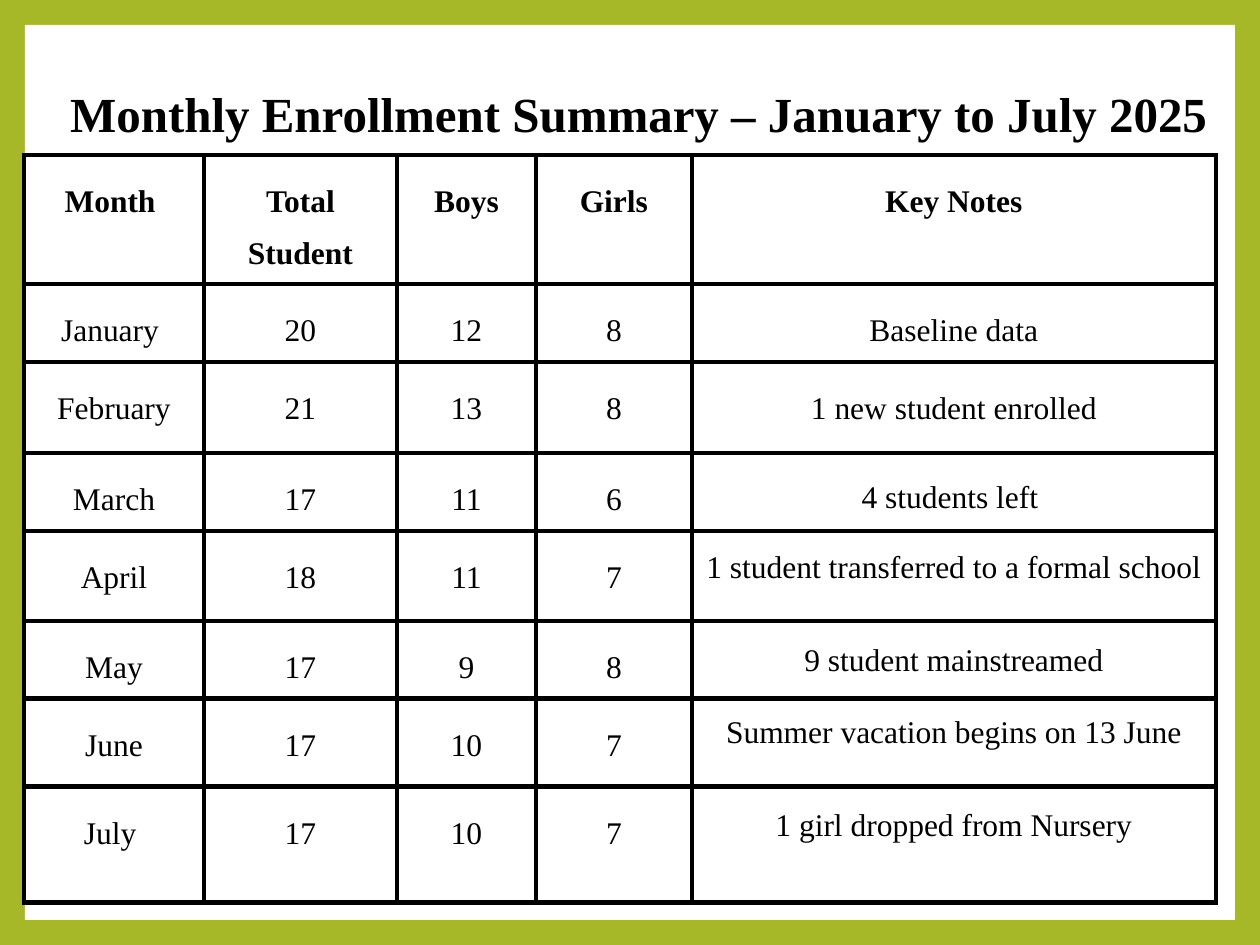
from lxml.etree import SubElement
from pptx import Presentation
from pptx.dml.color import RGBColor
from pptx.enum.shapes import MSO_SHAPE
from pptx.enum.text import PP_ALIGN
from pptx.oxml.ns import qn
from pptx.util import Emu, Pt

PX_PER_INCH = 126
BLACK = RGBColor(0x00, 0x00, 0x00)
WHITE = RGBColor(0xFF, 0xFF, 0xFF)
GREEN = RGBColor(0xA6, 0xB7, 0x27)

COLUMN_WIDTHS = [180, 193, 139, 156, 524]
ROW_HEIGHTS = [129, 78, 91, 78, 90, 77, 88, 116]
ENROLLMENT = [
    ["Month ", "Total Student", "Boys", "Girls", "Key Notes"],
    ["January ", "20", "12", "8", "Baseline data"],
    ["February", "21", "13", "8", "1 new student enrolled"],
    ["March", "17", "11", "6", "4 students left "],
    ["April", "18", "11", "7", "1 student transferred to a formal school"],
    ["May", "17", "9", "8", "9 student mainstreamed"],
    ["June", "17", "10", "7", "Summer vacation begins on 13 June"],
    ["July ", "17", "10", "7", "1 girl dropped from Nursery"],
]
CELL_SPACING = 29.4
NOTE_SPACING = {3: 28, 4: 23.8, 5: 25.2, 6: 22.4, 7: 25.2}


def px(length):
    return Emu(round(length * 914400 / PX_PER_INCH))


class SlideBuilder:
    font_name = "Times New Roman"
    cell_margin = 13
    border_width = Pt(3)

    def __init__(self, page):
        self.page = page

    def background(self, color):
        self.page.background.fill.solid()
        self.page.background.fill.fore_color.rgb = color

    def panel(self, left, top, width, height, color):
        panel = self.page.shapes.add_shape(
            MSO_SHAPE.RECTANGLE, px(left), px(top), px(width), px(height))
        panel.shadow.inherit = False
        panel.fill.solid()
        panel.fill.fore_color.rgb = color
        panel.line.fill.background()

    def set_text(self, holder, text, size, spacing, bold, margin):
        holder.margin_left = holder.margin_right = px(margin)
        holder.margin_top = holder.margin_bottom = px(margin)
        holder.text = text
        frame = getattr(holder, "text_frame", holder)
        frame.word_wrap = True
        paragraph = frame.paragraphs[0]
        paragraph.alignment = PP_ALIGN.CENTER
        paragraph.line_spacing = Pt(spacing)
        for span in paragraph.runs:
            span.font.name = self.font_name
            span.font.size = Pt(size)
            span.font.bold = bold
            span.font.color.rgb = BLACK

    def title(self, left, top, width, height, text):
        box = self.page.shapes.add_textbox(px(left), px(top), px(width), px(height))
        self.set_text(box.text_frame, text, 28, 54.6, True, 0)

    def border(self, cell):
        properties = cell._tc.get_or_add_tcPr()
        for side in ("a:lnL", "a:lnR", "a:lnT", "a:lnB"):
            line = SubElement(properties, qn(side), w=str(int(self.border_width)))
            fill = SubElement(line, qn("a:solidFill"))
            SubElement(fill, qn("a:srgbClr"), val=str(BLACK))

    def table(self, left, top, widths, heights, rows, note_spacing):
        table = self.page.shapes.add_table(
            len(rows), len(widths), px(left), px(top),
            px(sum(widths)), px(sum(heights))).table
        table.first_row = False
        table.horz_banding = False
        for column, width in zip(table.columns, widths):
            column.width = px(width)
        for row, height in zip(table.rows, heights):
            row.height = px(height)
        last_column = len(widths) - 1
        for row_index, values in enumerate(rows):
            for column_index, value in enumerate(values):
                cell = table.cell(row_index, column_index)
                spacing = CELL_SPACING
                if column_index == last_column:
                    spacing = note_spacing.get(row_index, CELL_SPACING)
                self.set_text(cell, value, 18, spacing,
                              row_index == 0, self.cell_margin)
                self.border(cell)
                cell.fill.background()


def main():
    deck = Presentation()
    deck.slide_width = px(1260)
    deck.slide_height = px(945)
    builder = SlideBuilder(deck.slides.add_slide(deck.slide_layouts[6]))
    builder.background(GREEN)
    builder.panel(25, 25, 1210, 895, WHITE)
    builder.table(24, 155, COLUMN_WIDTHS, ROW_HEIGHTS, ENROLLMENT, NOTE_SPACING)
    builder.title(50, 47, 1177, 108,
                  "Monthly Enrollment Summary – January to July 2025")
    deck.save("out.pptx")


if __name__ == "__main__":
    main()
